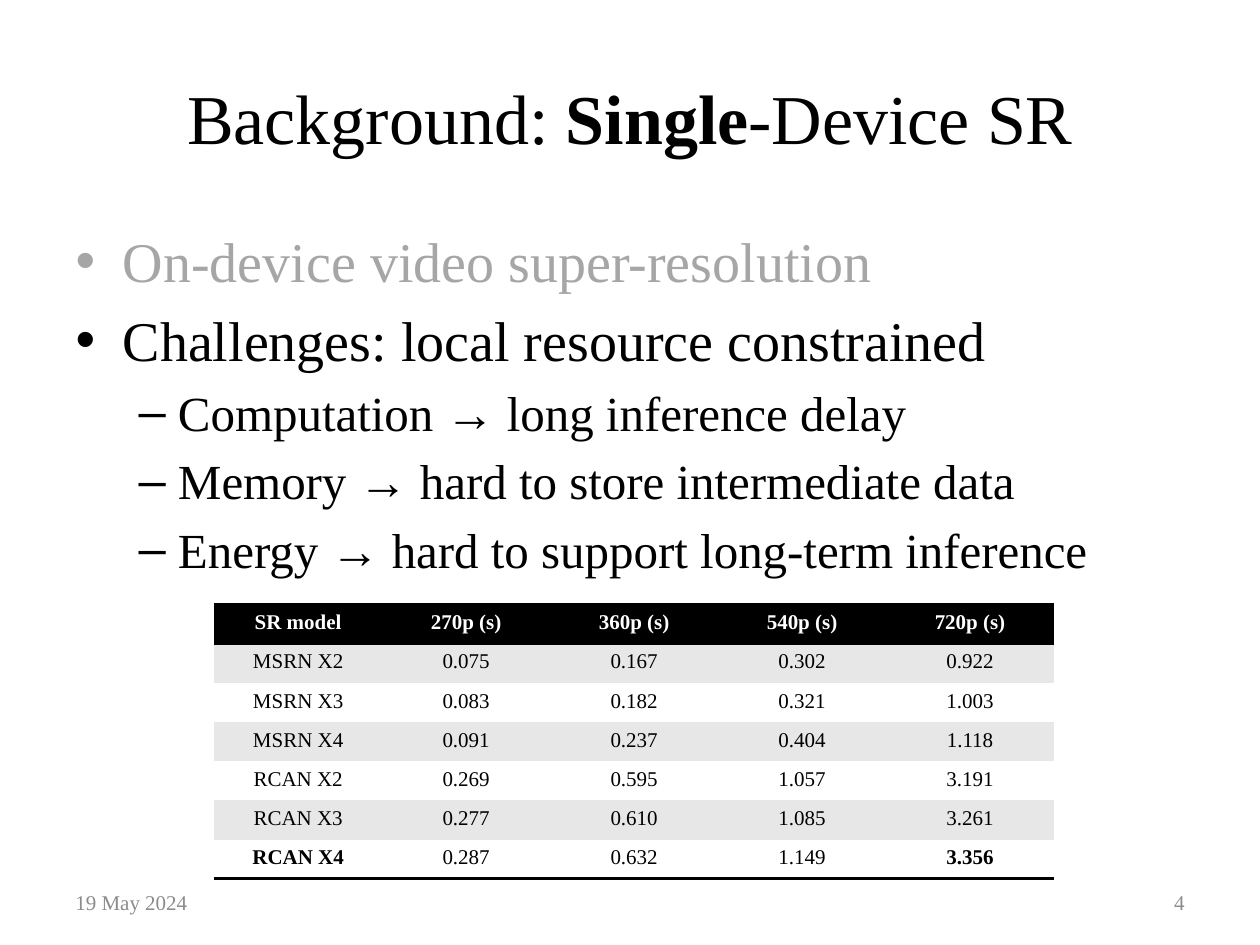
from lxml import etree
from pptx import Presentation
from pptx.dml.color import RGBColor
from pptx.enum.text import MSO_ANCHOR, MSO_AUTO_SIZE, PP_ALIGN
from pptx.oxml.ns import qn
from pptx.util import Inches, Pt

LEFT, CENTER, RIGHT = PP_ALIGN.LEFT, PP_ALIGN.CENTER, PP_ALIGN.RIGHT
MIDDLE, NO_FIT = MSO_ANCHOR.MIDDLE, MSO_AUTO_SIZE.NONE

BLACK = RGBColor(0x00, 0x00, 0x00)
WHITE = RGBColor(0xFF, 0xFF, 0xFF)
BAND = RGBColor(0xE7, 0xE7, 0xE7)
FADED = RGBColor(0xA6, 0xA6, 0xA6)
GRAY = RGBColor(0x8C, 0x8C, 0x8C)

FONT = "Times New Roman"
PLAIN = "{2D5ABB26-0587-4C30-8999-92F81FD0307C}"  # No Style, No Grid
WIDE, HIGH = Inches(10), Inches(7.5)
EDGE = 0.05  # side margin, as a share of the width

TITLE = [("Background: ", False), ("Single", True), ("-Device SR", False)]
POINTS = [
    (0, "On-device video super-resolution", FADED),
    (0, "Challenges: local resource constrained", BLACK),
    (1, "Computation → long inference delay", BLACK),
    (1, "Memory → hard to store intermediate data", BLACK),
    (1, "Energy → hard to support long-term inference", BLACK),
]
SIZES = (32, 28)  # by list level
DELAYS = [
    ("SR model", "270p (s)", "360p (s)", "540p (s)", "720p (s)"),
    ("MSRN X2", "0.075", "0.167", "0.302", "0.922"),
    ("MSRN X3", "0.083", "0.182", "0.321", "1.003"),
    ("MSRN X4", "0.091", "0.237", "0.404", "1.118"),
    ("RCAN X2", "0.269", "0.595", "1.057", "3.191"),
    ("RCAN X3", "0.277", "0.610", "1.085", "3.261"),
    ("RCAN X4", "0.287", "0.632", "1.149", "3.356"),
]
STRONG = ("RCAN X4", "3.356")


def box(x, y, w, h):
    """Turn shares of the slide into lengths."""
    return int(x * WIDE), int(y * HIGH), int(w * WIDE), int(h * HIGH)


def place(shape, *share):
    shape.left, shape.top, shape.width, shape.height = box(*share)


def add_run(para, text, size, color, bold=False):
    run = para.add_run()
    run.text = text
    font = run.font
    font.name, font.size, font.bold = FONT, Pt(size), bold
    font.color.rgb = color


def fill_title(shape):
    place(shape, EDGE, 0.04, 1 - 2 * EDGE, 1 / 6)
    frame = shape.text_frame
    frame.auto_size, frame.vertical_anchor = NO_FIT, MIDDLE
    para = frame.paragraphs[0]
    para.alignment = CENTER
    for text, bold in TITLE:
        add_run(para, text, 40, BLACK, bold)


def fill_list(shape):
    place(shape, EDGE, 7 / 30, 0.96, 0.66)
    frame = shape.text_frame
    frame.auto_size = NO_FIT
    for i, (level, text, color) in enumerate(POINTS):
        para = frame.add_paragraph() if i else frame.paragraphs[0]
        para.level = level
        add_run(para, text, SIZES[level], color)


def add_note(slide, x, text, align):
    """Add one small footer text."""
    frame = slide.shapes.add_textbox(*box(x, 0.93, 7 / 30, 0.05)).text_frame
    frame.word_wrap, frame.vertical_anchor = True, MIDDLE
    para = frame.paragraphs[0]
    para.alignment = align
    add_run(para, text, 12, GRAY)


def add_rule(cell, side):
    """Draw a black line on one side of a cell."""
    props = cell._tc.get_or_add_tcPr()
    line = etree.SubElement(props, qn("a:" + side), w=str(Pt(2)))
    fill = etree.SubElement(line, qn("a:solidFill"))
    etree.SubElement(fill, qn("a:srgbClr"), val=str(BLACK))


def add_delays(slide):
    rows, cols = len(DELAYS), len(DELAYS[0])
    frame = slide.shapes.add_table(rows, cols, *box(0.17, 0.64, 2 / 3, 0.29))
    table = frame.table
    table._tbl.tblPr.find(qn("a:tableStyleId")).text = PLAIN
    for r, row in enumerate(DELAYS):
        head = r == 0
        sides = ("lnT", "lnB") if head else ("lnB",) if r == rows - 1 else ()
        for c, text in enumerate(row):
            cell = table.cell(r, c)
            # Lines come before the fill in the cell's XML
            for side in sides:
                add_rule(cell, side)
            cell.fill.solid()
            cell.fill.fore_color.rgb = BLACK if head else BAND if r % 2 else WHITE
            para = cell.text_frame.paragraphs[0]
            para.alignment = CENTER
            add_run(para, text, 12, WHITE if head else BLACK,
                    head or text in STRONG)


def main():
    deck = Presentation()
    deck.slide_width, deck.slide_height = WIDE, HIGH
    slide = deck.slides.add_slide(deck.slide_layouts[1])

    # Title and list
    fill_title(slide.shapes.title)
    fill_list(slide.placeholders[1])

    # Date and page number
    add_note(slide, EDGE, "19 May 2024", LEFT)
    add_note(slide, 1 - EDGE - 7 / 30, "4", RIGHT)

    # Inference delays
    add_delays(slide)
    deck.save("out.pptx")


if __name__ == "__main__":
    main()
